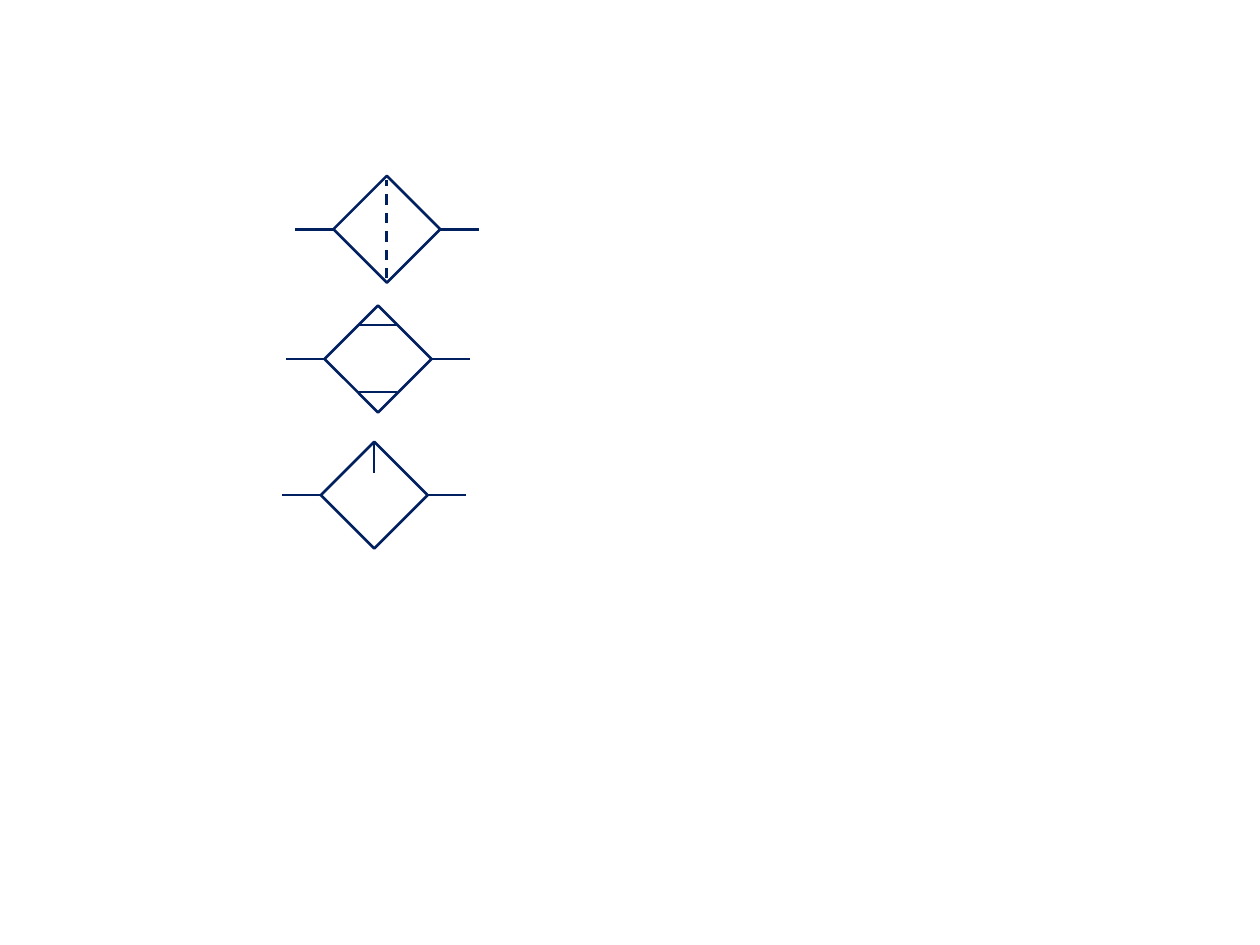
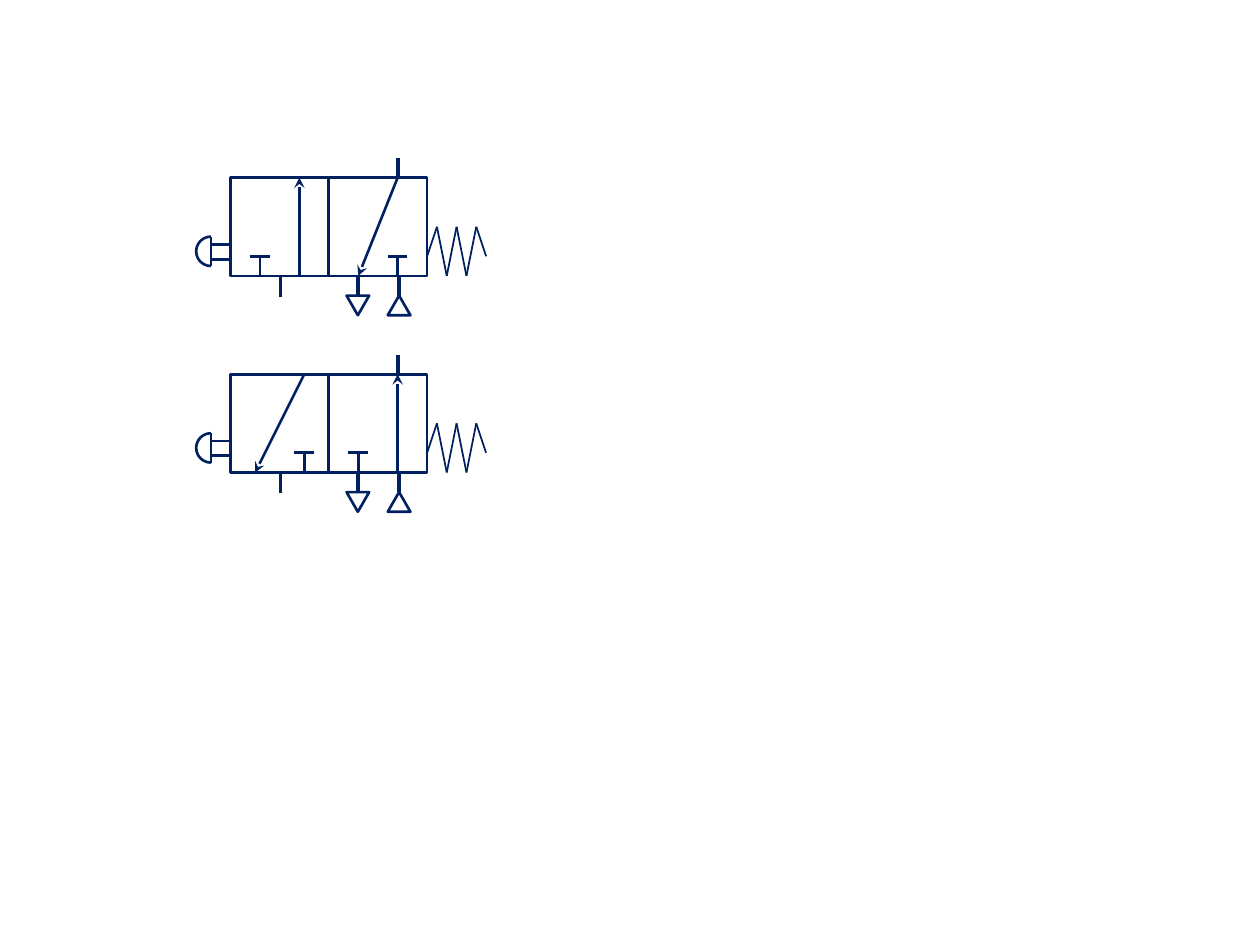
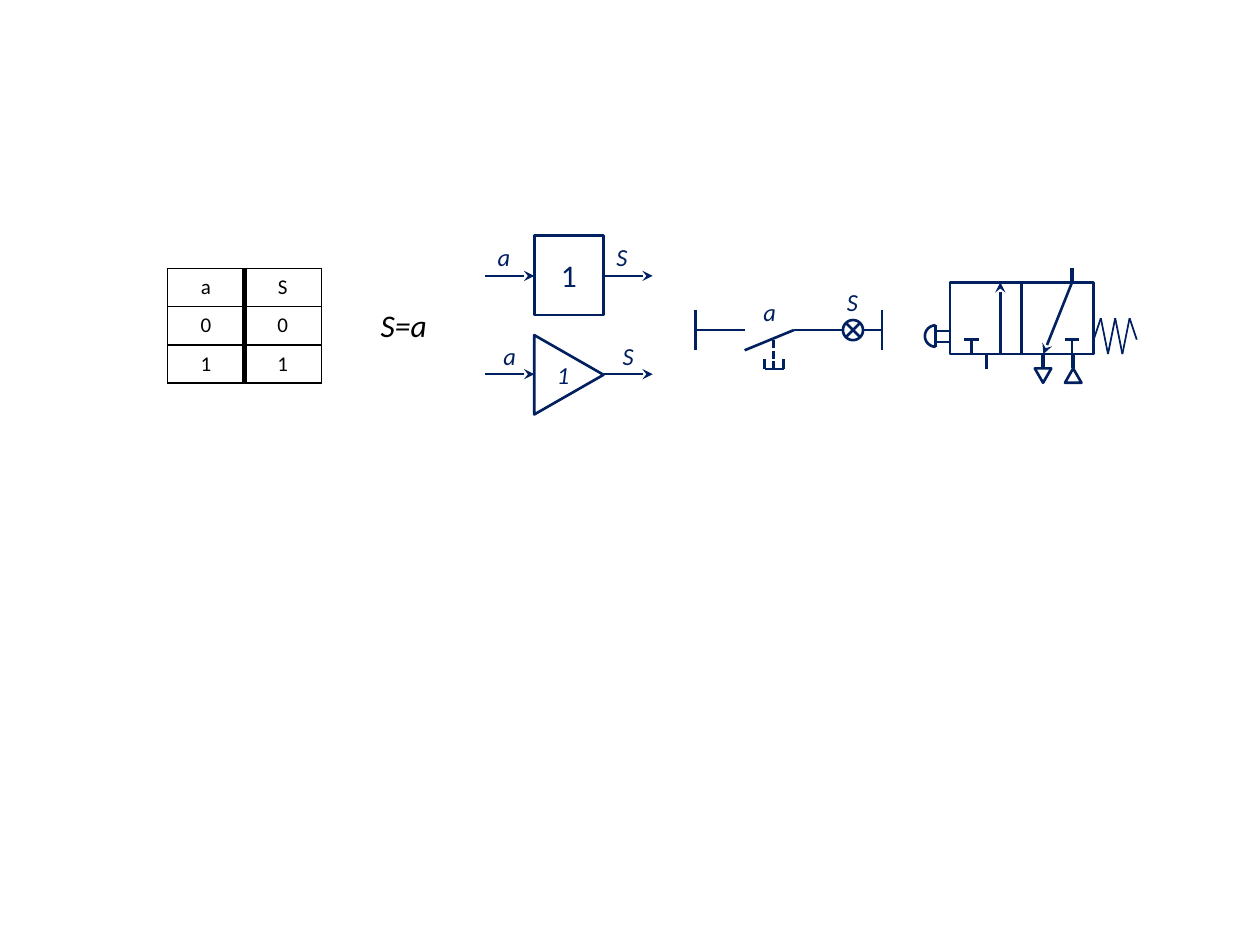
from dataclasses import dataclass
from lxml import etree
from pptx import Presentation
from pptx.dml.color import RGBColor
from pptx.enum import dml, shapes, text
from pptx.oxml.ns import qn
from pptx.util import Inches, Pt


@dataclass(frozen=True)
class Theme:
    navy: RGBColor = RGBColor(0x00, 0x20, 0x60)
    black: RGBColor = RGBColor(0, 0, 0)
    white: RGBColor = RGBColor(255, 255, 255)
    font: str = "Calibri"
    large: int = 18
    label: int = 14
    small: int = 12
    thin: float = 1
    line: float = 1.5
    bold: float = 2.25
    rule: float = 3


look = Theme()
kinds = shapes.MSO_SHAPE
dashes = dml.MSO_LINE


def wire(host, ends, width=look.line, dash=None, tip=False):
    line = host.add_connector(shapes.MSO_CONNECTOR.STRAIGHT, *map(Inches, ends))
    line.line.color.rgb = look.navy
    line.line.width = Pt(width)
    if dash:
        line.line.dash_style = dash
    props = line.element.spPr
    if tip:
        etree.SubElement(props.find(qn("a:ln")), qn("a:tailEnd"), type="stealth")
    etree.SubElement(props, qn("a:effectLst"))


def form(host, kind, box, turn=0):
    shape = host.add_shape(kind, *map(Inches, box))
    shape.shadow.inherit = False
    shape.fill.background()
    shape.line.color.rgb = look.navy
    shape.line.width = Pt(look.line)
    shape.rotation = turn
    return shape


deck = Presentation()
deck.slide_width, deck.slide_height = Inches(10), Inches(7.5)
units, valves, logic = [deck.slides.add_slide(deck.slide_layouts[6]).shapes for _ in range(3)]

# Air treatment units
half, reach, side = 0.42, 0.73, 0.6
treat = [
    (3.07, 1.82, [(0, 0.39, 0, -0.39)], dashes.DASH),
    (3.0, 2.85, [(-0.16, -0.27, 0.15, -0.27), (-0.16, 0.26, 0.15, 0.26)], None),
    (2.97, 3.93, [(0, -0.41, 0, -0.18)], None),
]
for x, y, marks, dash in treat:
    form(units, kinds.RECTANGLE, (x - side / 2, y - side / 2, side, side), 45)
    for sign in (-1, 1):
        wire(units, (x + sign * half, y, x + sign * reach, y))
    for x1, y1, x2, y2 in marks:
        wire(units, (x + x1, y + y1, x + x2, y + y2), dash=dash)

# Valves, measured in parts of the square side
closed = {"flows": [(0.7, 1, 0.7, 0), (1.7, 0, 1.3, 1)], "stops": (0.3, 1.7)}
opened = {"flows": [(0.75, 0, 0.25, 1), (1.7, 1, 1.7, 0)], "stops": (0.75, 1.3)}
peaks = [(2, 0.8), (2.1, 0.5), (2.2, 1), (2.3, 0.5), (2.4, 1), (2.5, 0.5), (2.6, 0.8)]
spring = [(*a, *b) for a, b in zip(peaks, peaks[1:])]
button = [(-0.2, 0.9, -0.2, 0.6), (-0.2, 0.68, 0, 0.68), (-0.2, 0.83, 0, 0.83)]
ports = [(1.7, 0, 1.7, -0.2), (1.71, 1.2, 1.71, 1), (1.3, 1.2, 1.3, 1)]

for page, left, top, unit, state in [
    (valves, 1.83, 1.41, 0.78, closed),
    (valves, 1.83, 2.97, 0.78, opened),
    (logic, 7.54, 2.24, 0.57, closed),
]:
    valve = page.add_group_shape().shapes
    for kind, x, y, wide, high, turn in [
        (kinds.RECTANGLE, 0, 0, 1, 1, 0),
        (kinds.RECTANGLE, 1, 0, 1, 1, 0),
        (kinds.ISOSCELES_TRIANGLE, 1.6, 1.2, 0.23, 0.2, 0),
        (kinds.ISOSCELES_TRIANGLE, 1.18, 1.2, 0.23, 0.2, 180),
        (kinds.ARC, -0.35, 0.6, 0.3, 0.3, 0),
    ]:
        box = (left + x * unit, top + y * unit, wide * unit, high * unit)
        part = form(valve, kind, box, turn)
        if kind == kinds.ARC:
            part.adjustments[0], part.adjustments[1] = 54, 162
    stops = []
    for x in state["stops"]:
        stops += [(x, 1, x, 0.8), (x - 0.1, 0.8, x + 0.1, 0.8)]
    for lines, width, tip in [
        (state["flows"], look.line, True),
        (stops + button + [(0.51, 1.21, 0.51, 1.01)], look.line, False),
        (ports, look.bold, False),
        (spring, look.thin, False),
    ]:
        for x1, y1, x2, y2 in lines:
            ends = (left + x1 * unit, top + y1 * unit, left + x2 * unit, top + y2 * unit)
            wire(valve, ends, width, tip=tip)

# Truth table
notes = []
frame = logic.add_table(3, 2, Inches(1.33), Inches(2.13), Inches(1.22), Inches(0.9))
table = frame.table
table.first_row = table.horz_banding = False
for row, words in enumerate(["aS", "00", "11"]):
    for col, word in enumerate(words):
        cell = table.cell(row, col)
        props = cell._tc.get_or_add_tcPr()
        for edge in "LRTB":
            inner = edge == "LR"[1 - col]
            width = look.rule if inner else look.thin
            line = etree.SubElement(props, qn("a:ln" + edge), w=str(Pt(width)))
            fill = etree.SubElement(line, qn("a:solidFill"))
            etree.SubElement(fill, qn("a:srgbClr"), val=str(look.black))
        cell.fill.background()
        notes.append((cell.text_frame, word, look.small, look.black, False))

# Logic gates
gates = logic.add_group_shape().shapes
gate = form(gates, kinds.RECTANGLE, (4.24, 1.87, 0.55, 0.63))
gate.text_frame.vertical_anchor = text.MSO_ANCHOR.MIDDLE
notes.append((gate.text_frame, "1", look.large, look.navy, False))
form(gates, kinds.ISOSCELES_TRIANGLE, (4.2, 2.7, 0.63, 0.55), 90)
for y in (2.19, 2.97):
    for x in (3.85, 4.79):
        wire(gates, (x, y, x + 0.39, y), tip=True)

# Lamp circuit
lamp = logic.add_group_shape().shapes
for ends in [
    (5.52, 2.78, 5.52, 2.46),
    (5.52, 2.62, 5.91, 2.62),
    (5.91, 2.78, 6.3, 2.62),
    (6.07, 2.93, 6.22, 2.93),
    (6.07, 2.85, 6.07, 2.93),
    (6.22, 2.85, 6.22, 2.93),
    (6.3, 2.62, 6.69, 2.62),
    (6.85, 2.62, 7, 2.62),
    (7, 2.78, 7, 2.46),
]:
    wire(lamp, ends)
wire(lamp, (6.14, 2.93, 6.14, 2.7), dash=dashes.SQUARE_DOT)
bulb = form(lamp, kinds.FLOWCHART_SUMMING_JUNCTION, (6.69, 2.54, 0.16, 0.16))
bulb.fill.solid()
bulb.fill.fore_color.rgb = look.white

# Labels
for host, word, x, y, wide in [
    (logic, "S=a", 2.89, 2.38, 0.63),
    (gates, "a", 3.85, 1.87, 0.3),
    (gates, "S", 4.79, 1.87, 0.29),
    (gates, "1", 4.32, 2.81, 0.3),
    (gates, "a", 3.85, 2.66, 0.39),
    (gates, "S", 4.79, 2.66, 0.39),
    (lamp, "S", 6.57, 2.23, 0.39),
    (lamp, "a", 5.96, 2.31, 0.3),
]:
    main = host is logic
    size, color = (look.large, look.black) if main else (look.label, look.navy)
    high = 0.4 if main else 0.34
    body = host.add_textbox(*map(Inches, (x, y, wide, high))).text_frame
    body.word_wrap = wide > 0.3
    body.auto_size = text.MSO_AUTO_SIZE.SHAPE_TO_FIT_TEXT
    notes.append((body, word, size, color, True))

for body, word, size, color, slant in notes:
    para = body.paragraphs[0]
    para.alignment = text.PP_ALIGN.CENTER
    run = para.add_run()
    run.text = word
    run.font.name = look.font
    run.font.size = Pt(size)
    run.font.color.rgb = color
    run.font.italic = slant

deck.save("out.pptx")
